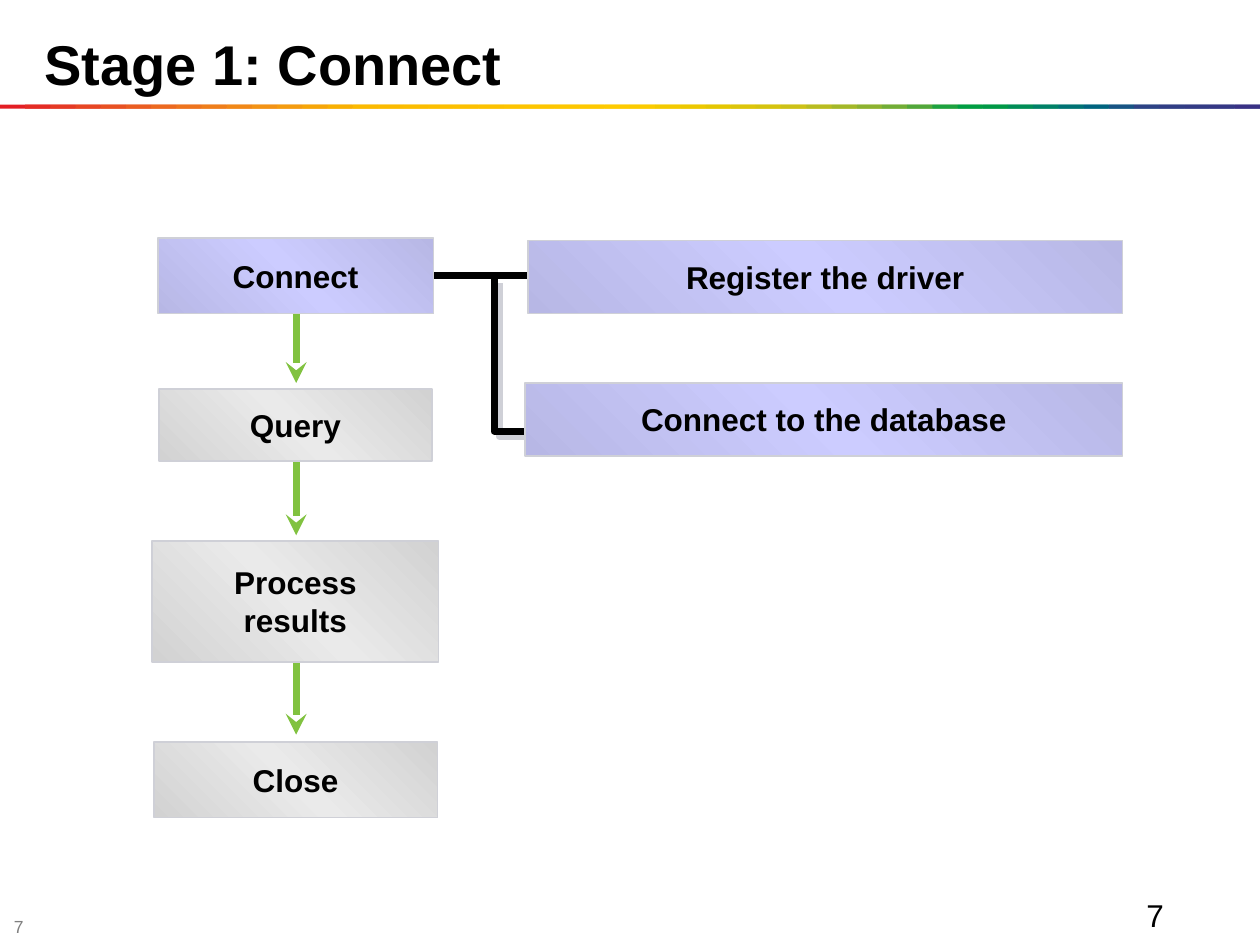
from lxml import etree
from pptx import Presentation
from pptx import util as u
from pptx.dml.color import RGBColor
from pptx.enum import shapes, text
from pptx.oxml import parse_xml
from pptx.oxml.ns import nsdecls, qn

Cm, Pt = u.Cm, u.Pt

COLORS = {
    "text": "000000",
    "footer": "7F7F7F",
    "arrow": "81C240",
    "border": "CFD0D7",
    "active_edge": "B7B7E5",
    "active_mid": "CCCCFF",
    "idle_edge": "D2D2D2",
    "idle_mid": "EAEAEA",
    "rainbow": """
        E31E24 E42C24 E53A24 E74623 E85122 EA5D21 EC691F EE741D EF7E1A F18817
        F39314 F49C0F F6A607 F8B002 FBBA00 FBBB00 FBBD00 FCBF00 FCC000 FCC200
        FDC400 FDC600 FDC700 FEC900 FECB00 FBCB00 F3CA00 ECC800 E4C602 DCC50A
        D5C30E CCC117 B8BC21 A3B829 8CB230 71AD36 51A73B 1DA240 009D43 009846
        008C57 008068 007275 00637F 185384 2E4285 313E85 333B85 353885 393185
    """,
}


def write(tf, content, size, color="text", bold=False,
          align=text.PP_ALIGN.LEFT, anchor=text.MSO_ANCHOR.MIDDLE):
    tf.text = content
    tf.vertical_anchor = anchor
    p = tf.paragraphs[0]
    p.alignment = align
    p.font.name = "Arial"
    p.font.size = Pt(size)
    p.font.bold = bold
    p.font.color.rgb = RGBColor.from_string(COLORS[color])


def add_line(s, x1, y1, x2, y2, color):
    line = s.shapes.add_connector(
        shapes.MSO_CONNECTOR.STRAIGHT, Cm(x1), Cm(y1), Cm(x2), Cm(y2))
    line.line.width = Pt(4)
    line.line.color.rgb = RGBColor.from_string(COLORS[color])
    etree.SubElement(line._element.spPr, qn("a:effectLst"))
    return line


prs = Presentation()
prs.slide_width, prs.slide_height = Cm(25.4), Cm(19.05)
s = prs.slides.add_slide(prs.slide_layouts[5])

# Title
title = s.shapes.title
title.left, title.top, title.width, title.height = Cm(0.64), Cm(0), Cm(24.76), Cm(2.54)
write(title.text_frame, "Stage 1: Connect", 32, bold=True)

# Rainbow rule: overlapping strips, each two steps wide except the last
rainbow = COLORS["rainbow"].split()
step = prs.slide_width // len(rainbow)
for i, color in enumerate(rainbow):
    width = min(2 * step, prs.slide_width - i * step)
    sp = s.shapes.add_shape(
        shapes.MSO_SHAPE.RECTANGLE, i * step, Cm(2.11), width, Cm(0.08))
    sp.shadow.inherit = False
    sp.fill.solid()
    sp.fill.fore_color.rgb = RGBColor.from_string(color)
    sp.line.fill.background()

# Slide numbers
for x, y, w, h, size, color, anchor in [
    (0.03, 18.47, 0.99, 0.41, 10, "footer", text.MSO_ANCHOR.MIDDLE),
    (22.86, 17.93, 2.44, 0.89, 18, "text", text.MSO_ANCHOR.TOP),
]:
    tf = s.shapes.add_textbox(Cm(x), Cm(y), Cm(w), Cm(h)).text_frame
    tf.word_wrap = True
    write(tf, "7", size, color, anchor=anchor)

# Arrows between the stages
for y in (6.25, 9.32, 13.34):
    arrow = add_line(s, 5.97, y, 5.97, y + 1.47, "arrow")
    etree.SubElement(arrow.line._get_or_add_ln(), qn("a:tailEnd"), type="stealth")

# Branch from the Connect stage to its two steps
add_line(s, 8.38, 5.56, 10.82, 5.56, "text")
builder = s.shapes.build_freeform(Cm(9.96), Cm(5.61))
builder.add_line_segments([(Cm(9.96), Cm(8.69)), (Cm(11.43), Cm(8.69))], close=False)
branch = builder.convert_to_shape()
branch.fill.background()
branch.line.width = Pt(4)
branch.line.color.rgb = RGBColor.from_string(COLORS["text"])
etree.SubElement(branch.line._get_or_add_ln(), qn("a:round"))
branch._element.spPr.append(parse_xml(
    f'<a:effectLst {nsdecls("a")}>'
    f'<a:outerShdw dist="{Pt(4.2)}" dir="2700000" algn="ctr" rotWithShape="0">'
    f'<a:srgbClr val="{COLORS["border"]}"/></a:outerShdw></a:effectLst>'))

# Stage and step boxes
for label, kind, x, y, w, h in [
    ("Connect", "active", 3.18, 4.8, 5.56, 1.52),
    ("Query", "idle", 3.2, 7.85, 5.51, 1.45),
    ("Process\vresults", "idle", 3.07, 10.9, 5.77, 2.44),
    ("Close", "idle", 3.1, 14.96, 5.72, 1.52),
    ("Register the driver", "active", 10.64, 4.85, 11.99, 1.47),
    ("Connect to the database", "active", 10.59, 7.72, 12.04, 1.47),
]:
    sp = s.shapes.add_shape(shapes.MSO_SHAPE.RECTANGLE, Cm(x), Cm(y), Cm(w), Cm(h))
    sp.shadow.inherit = False
    sp.fill.gradient()
    sp.fill.gradient_angle = 45
    stops = sp._element.spPr.find(qn("a:gradFill")).find(qn("a:gsLst"))
    for stop in list(stops):
        stops.remove(stop)
    for pos, tone in ((0, "edge"), (50000, "mid"), (100000, "edge")):
        stop = etree.SubElement(stops, qn("a:gs"), pos=str(pos))
        etree.SubElement(stop, qn("a:srgbClr"), val=COLORS[f"{kind}_{tone}"])
    sp.line.width = Pt(1)
    sp.line.color.rgb = RGBColor.from_string(COLORS["border"])
    sp.text_frame.word_wrap = False
    write(sp.text_frame, label, 18, bold=True, align=text.PP_ALIGN.CENTER)

prs.save("out.pptx")
